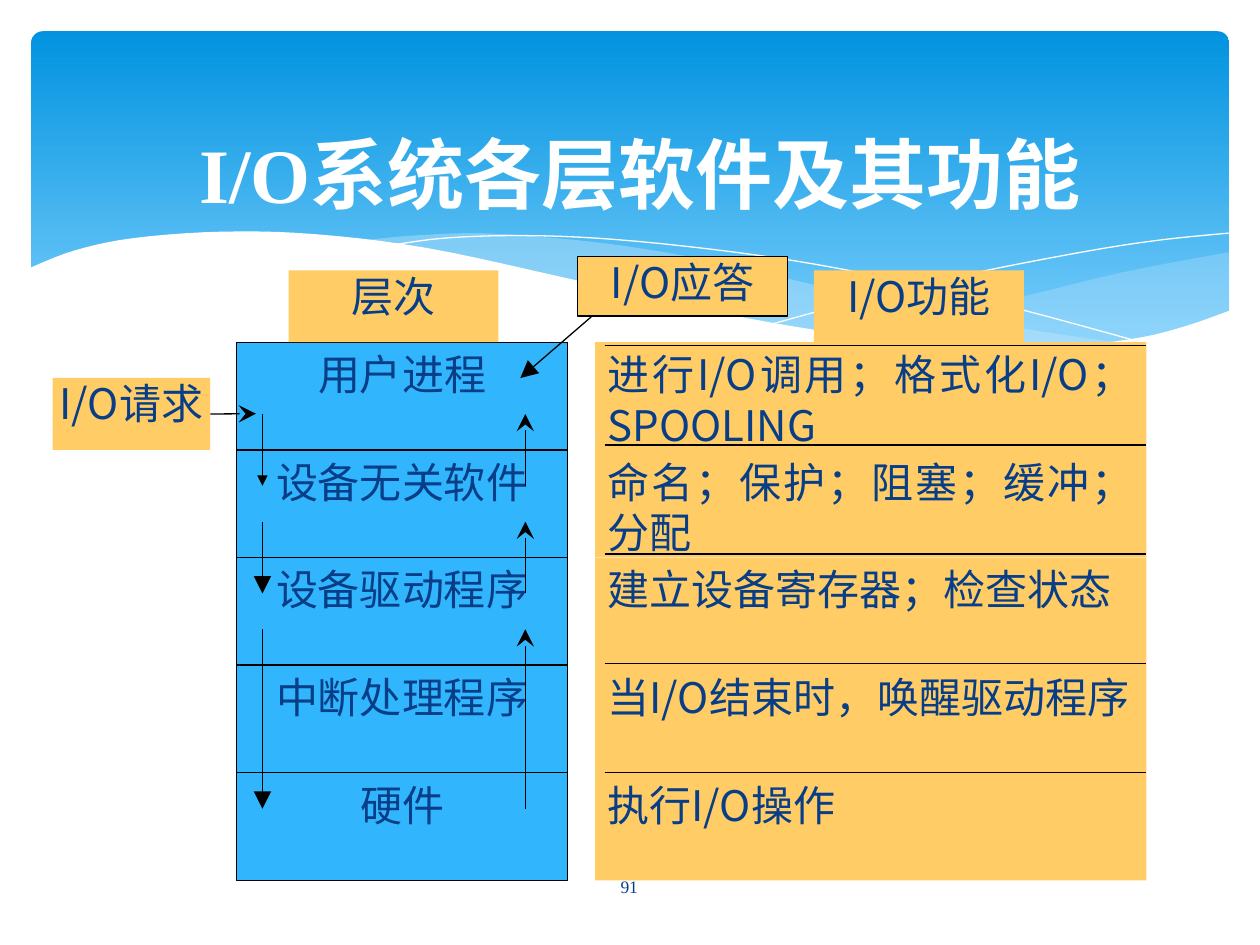
from dataclasses import dataclass
from itertools import chain

from lxml.etree import SubElement
from pptx import Presentation
from pptx.dml.color import RGBColor as Rgb
from pptx.enum.shapes import MSO_CONNECTOR as Link, MSO_SHAPE as Preset
from pptx.enum.text import MSO_ANCHOR as Anchor, MSO_AUTO_SIZE as Fit, PP_ALIGN as Align
from pptx.oxml.ns import qn
from pptx.util import Cm, Pt


@dataclass(frozen=True)
class Theme:
    """Colours, fonts and type sizes of the slide."""
    ink: str = "073E87"
    line: str = "000000"
    white: str = "FFFFFF"
    layer: str = "31B6FD"
    task: str = "FFCC66"
    sky_top: str = "0293E0"
    sky_bottom: str = "83D3FE"
    wave: str = "C6E7FC"
    sans: str = "Noto Sans CJK JP"
    serif: str = "Times New Roman"
    title_size: int = 44
    body_size: int = 24
    number_size: int = 10
    stroke: float = 0.75


THEME = Theme()


def write(shape, text, size=THEME.body_size, font=THEME.sans, color=THEME.ink,
          bold=False, align=Align.CENTER, anchor=Anchor.TOP, inset=(0.25, 0.13)):
    """Put formatted text into a shape."""
    frame = shape.text_frame
    frame.word_wrap = True
    frame.auto_size = Fit.NONE
    frame.vertical_anchor = anchor
    frame.margin_left = frame.margin_right = Cm(inset[0])
    frame.margin_top = frame.margin_bottom = Cm(inset[1])
    paragraph = frame.paragraphs[0]
    paragraph.alignment = align
    paragraph.line_spacing = 1.0
    paragraph.space_before = Pt(0)
    run = paragraph.add_run()
    run.text = text
    run.font.size, run.font.bold, run.font.name = Pt(size), bold, font
    run.font.color.rgb = Rgb.from_string(color)
    SubElement(run.font._element, qn("a:ea"), typeface=THEME.sans)


def smooth(knots, steps=5):
    """Return points on a Catmull-Rom curve through the knots."""
    ends = [knots[0], *knots, knots[-1]]
    curve = [knots[0]]
    for a, b, c, d in zip(ends, ends[1:], ends[2:], ends[3:]):
        for t in (step / steps for step in range(1, steps + 1)):
            curve.append(tuple(
                q + t * (r - p) / 2 + t**2 * (2 * p - 5 * q + 4 * r - s) / 2
                + t**3 * (3 * q - p - 3 * r + s) / 2
                for p, q, r, s in zip(a, b, c, d)))
    return curve


class Board:
    """Holds the theme and the current slide, and draws on it."""

    def __init__(self, slide, theme):
        """Keep the slide and its theme."""
        self.slide, self.theme = slide, theme

    def title(self, text, left, top, width, height):
        """Place and fill the title above what is drawn so far."""
        heading = self.slide.shapes.title
        heading.left, heading.top, heading.width, heading.height = map(
            Cm, (left, top, width, height))
        write(heading, text, size=self.theme.title_size, font=self.theme.serif,
              color=self.theme.white, bold=True, anchor=Anchor.MIDDLE)
        heading.element.getparent().append(heading.element)

    def sky(self, left, top, width, height):
        """Draw the rounded gradient banner."""
        banner = self.slide.shapes.add_shape(
            Preset.ROUNDED_RECTANGLE, *map(Cm, (left, top, width, height)))
        banner.shadow.inherit = False
        banner.adjustments[0] = 0.034
        banner.line.fill.background()
        banner.fill.gradient()
        banner.fill.gradient_angle = 270
        colors = (self.theme.sky_top, self.theme.sky_bottom)
        for position, (stop, color) in enumerate(zip(banner.fill.gradient_stops, colors)):
            stop.position = position
            stop.color.rgb = Rgb.from_string(color)

    def wave(self, *edges, fill=None, opacity=100):
        """Draw a filled band from smooth edges, or a white hairline."""
        points = [(Cm(x), Cm(y)) for x, y in chain.from_iterable(map(smooth, edges))]
        builder = self.slide.shapes.build_freeform(*points[0])
        builder.add_line_segments(points[1:], close=fill is not None)
        band = builder.convert_to_shape()
        band.shadow.inherit = False
        if fill is None:
            band.fill.background()
            band.line.color.rgb = Rgb.from_string(self.theme.white)
            band.line.width = Pt(0)
            return
        band.line.fill.background()
        band.fill.solid()
        band.fill.fore_color.rgb = Rgb.from_string(fill)
        if opacity < 100:
            tint = band.element.spPr.find(".//" + qn("a:srgbClr"))
            SubElement(tint, qn("a:alpha"), val=str(opacity * 1000))

    def box(self, text, left, top, width, height, fill, outlined=False, **format):
        """Draw a rectangle with text."""
        panel = self.slide.shapes.add_shape(
            Preset.RECTANGLE, *map(Cm, (left, top, width, height)))
        panel.shadow.inherit = False
        panel.fill.solid()
        panel.fill.fore_color.rgb = Rgb.from_string(fill)
        if outlined:
            panel.line.color.rgb = Rgb.from_string(self.theme.line)
            panel.line.width = Pt(self.theme.stroke)
        else:
            panel.line.fill.background()
        write(panel, text, **format)
        return panel

    def line(self, x1, y1, x2, y2, arrow=None, size="lg"):
        """Draw a straight line, with an arrowhead at its end if named."""
        link = self.slide.shapes.add_connector(
            Link.STRAIGHT, *map(Cm, (x1, y1, x2, y2)))
        link.line.color.rgb = Rgb.from_string(self.theme.line)
        link.line.width = Pt(self.theme.stroke)
        spPr = link.element.spPr
        if arrow:
            SubElement(spPr.find(qn("a:ln")), qn("a:tailEnd"), type=arrow, w=size, len=size)
        SubElement(spPr, qn("a:effectLst"))
        return link

    def note(self, text, left, top, width, height, **format):
        """Add a plain text box."""
        write(self.slide.shapes.add_textbox(*map(Cm, (left, top, width, height))),
              text, **format)


def draw_backdrop(board):
    """Draw the banner and its waves."""
    board.sky(0.63, 0.63, 24.15, 6.86)
    board.wave(
        [(24.79, 5.08), (22.63, 5.49), (20.45, 6.02), (18.52, 6.43), (16.79, 6.73)],
        [(18.24, 6.93), (19.84, 7.04), (21.21, 7.04), (22.58, 6.91), (23.75, 6.65),
         (24.79, 6.27)], fill=THEME.wave, opacity=29)
    board.wave(
        [(22.68, 6.93), (20.5, 6.6), (17.93, 6.1), (15.98, 5.64), (14.45, 5.28),
         (12.73, 4.98), (11.2, 4.8), (9.65, 4.7), (8.33, 4.75), (7.26, 4.85)],
        [(9.19, 5.16), (11.4, 5.64), (13.46, 6.1), (15.27, 6.48), (17.27, 6.81),
         (19, 7.01), (20.5, 7.09), (21.77, 7.04), (22.68, 6.93)],
        fill=THEME.wave, opacity=40)
    board.wave([(7.85, 4.95), (8.97, 4.8), (10.57, 4.75), (12.42, 4.83), (14.78, 5.08),
                (16.89, 5.41), (19.3, 5.92), (21.11, 6.38), (23.04, 6.91)])
    board.wave([(15.57, 6.53), (17.65, 5.97), (19.71, 5.49), (22, 5.05),
                (23.47, 4.83), (24.77, 4.7)])
    board.wave(
        [(0.58, 5.41), (1.5, 5.05), (2.69, 4.8), (4.47, 4.67), (6.35, 4.72), (8.61, 5),
         (11.35, 5.59), (14.1, 6.22), (16.43, 6.65), (18.9, 6.96), (20.9, 7.04),
         (22.83, 6.83), (23.88, 6.58), (24.82, 6.25)],
        [(24.82, 8.36), (0.58, 8.36)], fill=THEME.white)


def draw_layers(board):
    """Draw the layers, their tasks and the request and reply paths."""
    top, pitch = 6.9, 2.17
    layers = (
        ("用户进程", "进行I/O调用；格式化I/O；SPOOLING"),
        ("设备无关软件", "命名；保护；阻塞；缓冲；分配"),
        ("设备驱动程序", "建立设备寄存器；检查状态"),
        ("中断处理程序", "当I/O结束时，唤醒驱动程序"),
        ("硬件", "执行I/O操作"))
    for row, (layer, task) in enumerate(layers):
        y = top + row * pitch
        board.box(layer, 4.77, y, 6.67, pitch, THEME.layer, outlined=True)
        board.box(task, 12, y, 11.11, pitch, THEME.task, align=Align.JUSTIFY)

    for upper, lower, size in ((0, 1, "med"), (1, 2, "lg"), (2, 4, "lg")):
        start, end = top + (upper + 2 / 3) * pitch, top + (lower + 1 / 3) * pitch
        board.line(5.29, start, 5.29, end, "triangle", size)
        board.line(10.59, end, 10.59, start, "stealth")

    board.line(12.17, 6.17, 10.49, 7.62, "triangle")
    tight = {"fill": THEME.task, "inset": (0, 0)}
    board.box("层次", 5.82, 5.45, 4.23, 1.45, **tight)
    board.box("I/O应答", 11.64, 5.17, 4.24, 1.2, outlined=True, **tight)
    board.box("I/O功能", 16.41, 5.45, 4.23, 1.45, **tight)
    request = board.box("I/O请求", 1.06, 7.62, 3.18, 1.45, **tight)
    board.line(4.24, 8.34, 5.16, 8.34, "stealth").begin_connect(request, 3)

    for y in (6.96, *(8.97 + 2.2 * gap for gap in range(4))):
        board.line(12.19, y, 23.11, y)


def main():
    """Build the slide and save it."""
    deck = Presentation()
    deck.slide_width, deck.slide_height = Cm(25.4), Cm(19.05)
    board = Board(deck.slides.add_slide(deck.slide_layouts[5]), THEME)
    draw_backdrop(board)
    board.title("I/O系统各层软件及其功能 ", 1.65, 2.24, 22.86, 2.49)
    draw_layers(board)
    board.note("91", 11.07, 17.37, 3.23, 1.02, size=THEME.number_size,
               font=THEME.serif, anchor=Anchor.MIDDLE)
    deck.save("out.pptx")


if __name__ == "__main__":
    main()
